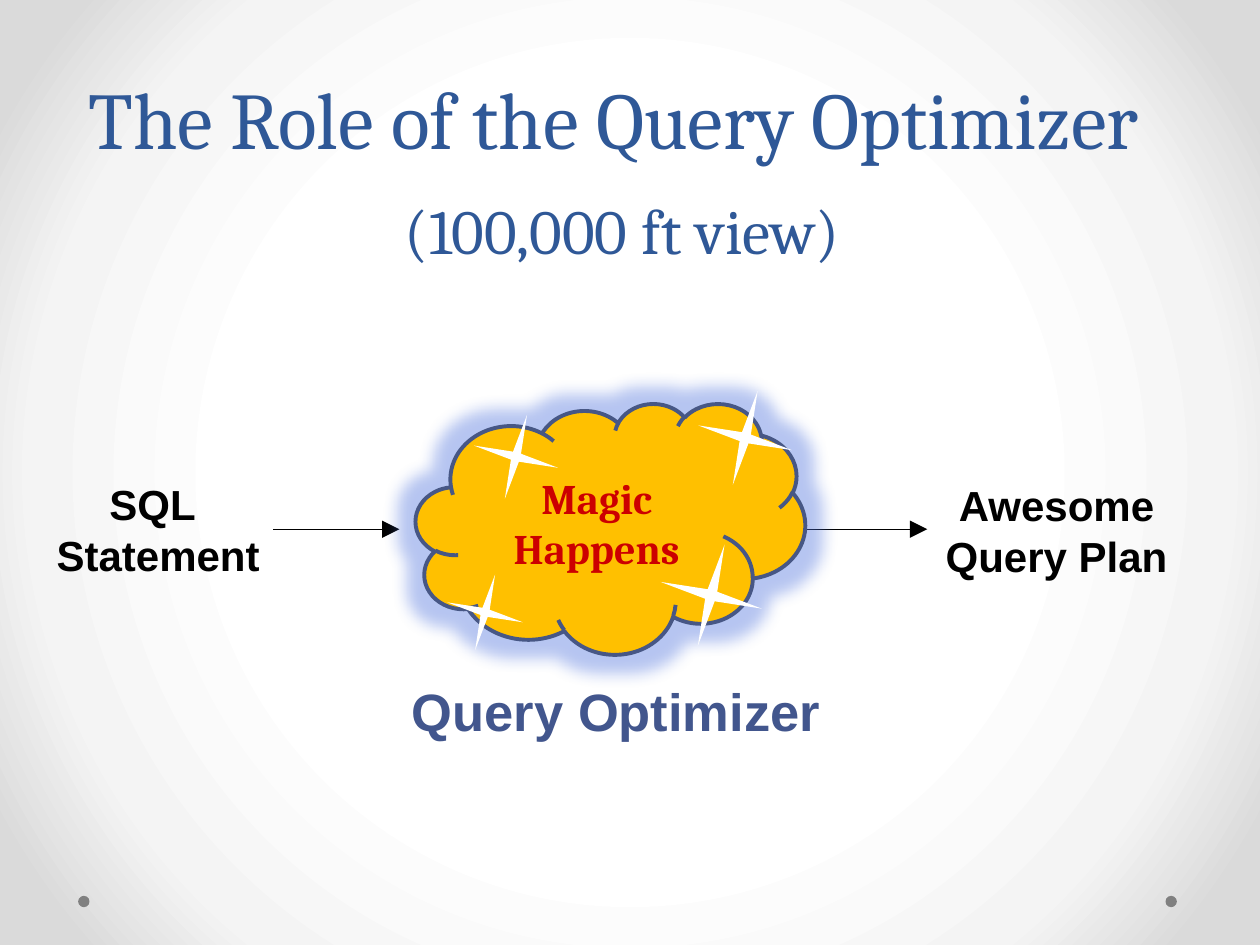
import pptx
import pptx.util
import pptx.dml.color
import pptx.enum.shapes
import pptx.enum.text
import pptx.oxml
import pptx.oxml.ns

Inches, Pt = pptx.util.Inches, pptx.util.Pt
RGBColor = pptx.dml.color.RGBColor
SHAPE = pptx.enum.shapes.MSO_SHAPE
ANCHOR = pptx.enum.text.MSO_ANCHOR
CENTER = pptx.enum.text.PP_ALIGN.CENTER
NS = pptx.oxml.ns.nsdecls("a")

BLUE = RGBColor(0x2F, 0x58, 0x97)
INDIGO = RGBColor(0x42, 0x56, 0x8D)
OUTLINE = RGBColor(0x47, 0x57, 0x85)
GOLD = RGBColor(0xFF, 0xC0, 0x00)
RED = RGBColor(0xCC, 0x00, 0x00)
GRAY = RGBColor(0x80, 0x80, 0x80)
BLACK = RGBColor(0x00, 0x00, 0x00)
WHITE = RGBColor(0xFF, 0xFF, 0xFF)

# Content: positions are left, top, width, height in inches
TITLE = [("The Role of the Query Optimizer ", 45.9), ("(100,000 ft view)", 36)]
LABELS = [  # lines, box, size, colour, wrap
    (["Query Optimizer"], (2.88, 5.34, 4.02, 0.53), 30, INDIGO, True),
    (["SQL ", "Statement"], (0.34, 3.75, 1.83, 0.91), 24, BLACK, False),
    (["Awesome", "Query Plan"], (7.36, 3.76, 2.05, 0.91), 24, BLACK, False),
]
ARROW_Y, ARROWS = 4.2, [(2.17, 3.17), (6.39, 7.36)]
CLOUD = (3.3, 3.2, 3.09, 1.99)
STARS = [(3.54, 4.55, 0.62), (3.75, 3.28, 0.69), (5.23, 4.31, 0.83), (5.53, 3.09, 0.77)]
DOTS = [(9.25, 7.11, 0.09), (0.62, 7.11, 0.09)]
BACKGROUND = [(50, "FFFFFF"), (76, "F4F4F4"), (92, "DADADA")]


def add_run(p, text, size, font, color, bold=False):
    r = p.add_run()
    r.text = text
    r.font.size, r.font.name, r.font.bold = Pt(size), font, bold
    r.font.color.rgb = color


def add_shape(kind, box, color):
    sp = s.shapes.add_shape(kind, *map(Inches, box))
    sp.shadow.inherit = False
    sp.fill.solid()
    sp.fill.fore_color.rgb = color
    sp.line.fill.background()
    return sp


prs = pptx.Presentation()
prs.slide_width, prs.slide_height = Inches(10), Inches(7.5)
s = prs.slides.add_slide(prs.slide_layouts[5])

# Radial background
fill = s.background.fill
fill.gradient()
grad = s.background._cSld.bg.bgPr.find(pptx.oxml.ns.qn("a:gradFill"))
for child in list(grad):
    grad.remove(child)
stops = "".join(f'<a:gs pos="{pos * 1000}"><a:srgbClr val="{color}"/></a:gs>'
                for pos, color in BACKGROUND)
grad.append(pptx.oxml.parse_xml(f"<a:gsLst {NS}>{stops}</a:gsLst>"))
grad.append(pptx.oxml.parse_xml(
    f'<a:path {NS} path="circle">'
    '<a:fillToRect l="50000" t="50000" r="50000" b="50000"/></a:path>'))

# Corner dots
for left, top, size in DOTS:
    add_shape(SHAPE.OVAL, (left, top, size, size), GRAY)

# Title
title = s.shapes.title
title.left, title.top, title.width, title.height = map(Inches, (0, 1.17, 9.88, 1))
tf = title.text_frame
tf.word_wrap = True
tf.auto_size = pptx.enum.text.MSO_AUTO_SIZE.NONE
tf.vertical_anchor = ANCHOR.BOTTOM
p = tf.paragraphs[0]
p.alignment, p.line_spacing = CENTER, Pt(58)
for i, (text, size) in enumerate(TITLE):
    if i:
        p.add_line_break()
    add_run(p, text, size, "Cambria", BLUE)

# Labels
for lines, box, size, color, wrap in LABELS:
    tf = s.shapes.add_textbox(*map(Inches, box)).text_frame
    tf.word_wrap = wrap
    for i, text in enumerate(lines):
        p = tf.add_paragraph() if i else tf.paragraphs[0]
        p.alignment = CENTER
        add_run(p, text, size, "Arial", color, True)

# Arrows into and out of the cloud
for x1, x2 in ARROWS:
    arrow = s.shapes.add_connector(
        pptx.enum.shapes.MSO_CONNECTOR.STRAIGHT,
        Inches(x1), Inches(ARROW_Y), Inches(x2), Inches(ARROW_Y))
    arrow.line.color.rgb = BLACK
    arrow.line.width = Pt(0.75)
    arrow.line._get_or_add_ln().append(pptx.oxml.parse_xml(
        f'<a:tailEnd {NS} type="triangle" w="lg" len="lg"/>'))
    arrow._element.spPr.append(pptx.oxml.parse_xml(f"<a:effectLst {NS}/>"))

# Glowing cloud
cloud = add_shape(SHAPE.CLOUD, CLOUD, GOLD)
cloud.line.color.rgb = OUTLINE
cloud.line.width = Pt(2.25)
cloud._element.spPr.find(pptx.oxml.ns.qn("a:effectLst")).append(pptx.oxml.parse_xml(
    f'<a:glow {NS} rad="{Pt(18)}"><a:srgbClr val="4A6FDC">'
    '<a:alpha val="40000"/></a:srgbClr></a:glow>'))
tf = cloud.text_frame
tf.word_wrap = True
tf.vertical_anchor = ANCHOR.MIDDLE
p = tf.paragraphs[0]
p.alignment = CENTER
add_run(p, "Magic Happens", 24, "Cambria", RED, True)

# Sparkles
for left, top, size in STARS:
    star = add_shape(SHAPE.STAR_4_POINT, (left, top, size, size), WHITE)
    star.adjustments[0] = 0.067
    star.rotation = 14.8

prs.save("out.pptx")
